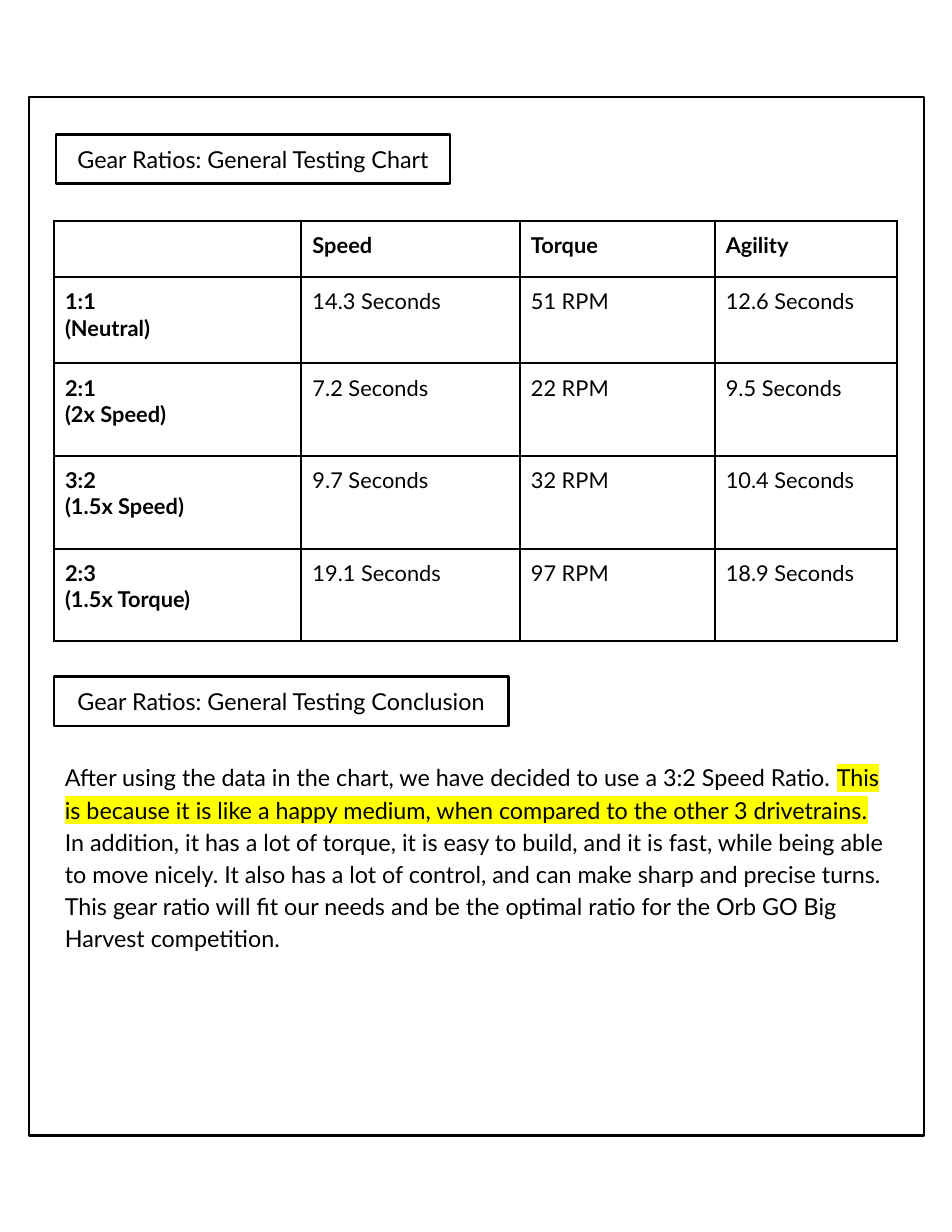
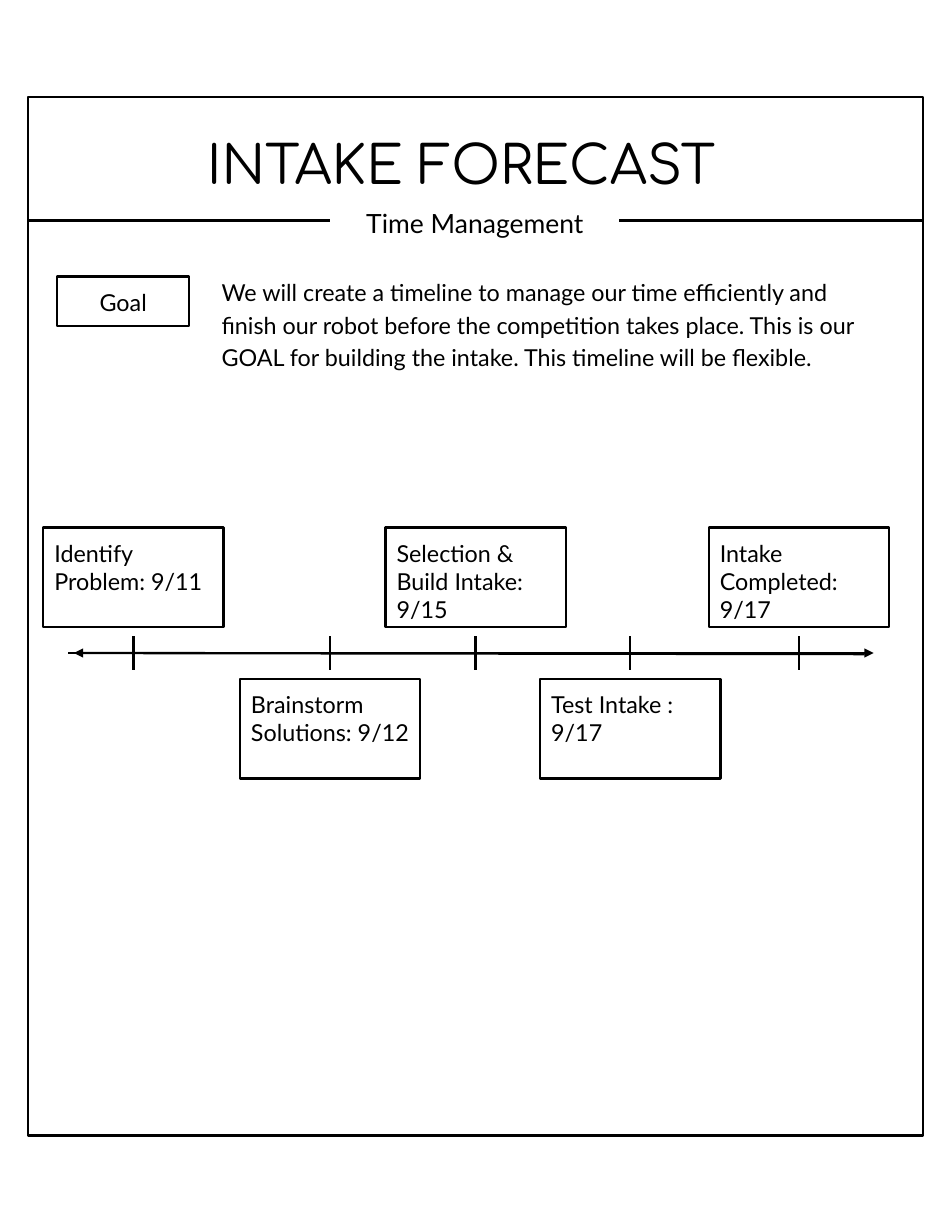
"""Builds two pages of a robotics notebook: gear test results and an intake timeline."""
from lxml import etree
from pptx import Presentation
from pptx import util as u
from pptx.dml import color as c
from pptx.enum import shapes, text
from pptx.oxml import ns

Pt = u.Pt
HUES = {"ink": "000000", "mark": "FFFF00"}
BODY = "Lato"
HEAD = "Comfortaa"
LEFT, MID = text.PP_ALIGN.LEFT, text.PP_ALIGN.CENTER
TOP, CORE = text.MSO_ANCHOR.TOP, text.MSO_ANCHOR.MIDDLE
PAD = Pt(7.2)
LINE = 1.5
RECT = shapes.MSO_SHAPE.RECTANGLE


def rgb(name):
    return c.RGBColor.from_string(HUES[name])


def node(tag, **attrs):
    return etree.Element(ns.qn("a:" + tag), attrs)


def apply(item, **values):
    for key, value in values.items():
        setattr(item, key, value)


class Page:
    def __init__(self, deck):
        self.deck = deck
        self.slide = None

    def start(self, left):
        layout = self.deck.slide_layouts.get_by_name("Title Only")
        self.slide = self.deck.slides.add_slide(layout)
        self.box((left, 62.6, 575.3, 667.4))

    def edge(self, line):
        line.color.rgb = rgb("ink")
        line.width = Pt(LINE)

    def lay(self, frame, paras, size=15, font=BODY, align=LEFT, space=1.0,
            anchor=TOP):
        apply(frame, word_wrap=True, vertical_anchor=anchor,
              auto_size=text.MSO_AUTO_SIZE.NONE, margin_left=PAD,
              margin_right=PAD, margin_top=PAD, margin_bottom=PAD)
        self.words(frame, paras, size, font, False, align, space)

    def words(self, frame, paras, size, font=BODY, bold=False, align=LEFT, space=1.0):
        for i, runs in enumerate(paras):
            para = frame.add_paragraph() if i else frame.paragraphs[0]
            apply(para, alignment=align, line_spacing=space)
            for words, mark in runs:
                run = para.add_run()
                run.text = words
                apply(run.font, size=Pt(size), name=font, bold=bold)
                run.font.color.rgb = rgb("ink")
                if mark:
                    self.mark(run)

    def mark(self, run):
        tint = node("highlight")
        etree.SubElement(tint, ns.qn("a:srgbClr"), val=HUES["mark"])
        run.font._element.find(ns.qn("a:solidFill")).addnext(tint)

    def box(self, place, words=None, **style):
        shape = self.slide.shapes.add_shape(RECT, *map(Pt, place))
        shape.shadow.inherit = False
        shape.fill.background()
        self.edge(shape.line)
        if words:
            self.lay(shape.text_frame, [[(words, False)]], **style)

    def title(self, place, words, framed=False, **style):
        shape = self.slide.shapes.title
        left, top, width, height = map(Pt, place)
        apply(shape, left=left, top=top, width=width, height=height)
        if framed:
            self.edge(shape.line)
        self.lay(shape.text_frame, [[(words, False)]], align=MID, **style)

    def note(self, place, runs, **style):
        shape = self.slide.shapes.add_textbox(*map(Pt, place))
        self.lay(shape.text_frame, [runs], space=1.15, **style)
        return shape

    def rule(self, ends, arrow=False):
        line = self.slide.shapes.add_connector(
            shapes.MSO_CONNECTOR.STRAIGHT, *map(Pt, ends))
        self.edge(line.line)
        props = line._element.spPr
        if arrow:
            props.find(ns.qn("a:ln")).append(node("tailEnd", type="triangle"))
        props.append(node("effectLst"))
        return line

    def grid(self, left, top, widths, heights, rows):
        spot = map(Pt, (left, top, sum(widths), sum(heights)))
        table = self.slide.shapes.add_table(len(rows), len(widths), *spot).table
        apply(table, first_row=False, horz_banding=False)
        for col, width in zip(table.columns, widths):
            col.width = Pt(width)
        for row, height, cells in zip(table.rows, heights, rows):
            row.height = Pt(height)
            for cell, words in zip(row.cells, cells):
                bold = words == cells[0] or cells is rows[0]
                apply(cell, vertical_anchor=TOP, margin_left=PAD,
                      margin_right=PAD, margin_top=PAD, margin_bottom=PAD)
                cell.fill.background()
                self.rim(cell)
                paras = [[(part, False)] for part in words.split("\n") if part]
                self.words(cell.text_frame, paras, 14, bold=bold)

    def rim(self, cell):
        props = cell._tc.get_or_add_tcPr()
        for i, side in enumerate("LRTB"):
            line = node("ln" + side, w=str(int(Pt(LINE))))
            ink = etree.SubElement(line, ns.qn("a:solidFill"))
            etree.SubElement(ink, ns.qn("a:srgbClr"), val=HUES["ink"])
            props.insert(i, line)


def gears(page):
    page.start(18.7)
    page.title((36, 86.4, 253.4, 31.7), "Gear Ratios: General Testing Chart",
               framed=True)
    page.grid(34.6, 141.8, (159.1, 140.4, 125.3, 117.4), (36, 55.4) + (59.6,) * 3, [
        ("", "Speed", "Torque", "Agility"),
        ("1:1\n(Neutral)", "14.3 Seconds", "51 RPM", "12.6 Seconds"),
        ("2:1\n(2x Speed)", "7.2 Seconds", "22 RPM", "9.5 Seconds"),
        ("3:2\n(1.5x Speed)", "9.7 Seconds", "32 RPM", "10.4 Seconds"),
        ("2:3\n(1.5x Torque)", "19.1 Seconds", "97 RPM", "18.9 Seconds"),
    ])
    page.note((34.6, 481, 542.9, 134.6), [
        ("After using the data in the chart, we have decided to use a 3:2 "
         "Speed Ratio. ", False),
        ("This is because it is like a happy medium, when compared to the "
         "other 3 drivetrains.", True),
        (" In addition, it has a lot of torque, it is easy to build, and it is "
         "fast, while being able to move nicely. It also has a lot of control, "
         "and can make sharp and precise turns. This gear ratio will fit our "
         "needs and be the optimal ratio for the Orb GO Big Harvest "
         "competition.", False),
    ])
    page.box((34.6, 434.9, 292.3, 31.7), "Gear Ratios: General Testing Conclusion",
             align=MID)


def intake(page):
    page.start(18)
    page.title((25, 61.9, 542.9, 80.6), "INTAKE FORECAST", size=34, font=HEAD,
               space=1.15, anchor=CORE)
    theme = page.note((212.4, 128.9, 185.8, 25.9), [("Time Management", False)],
                      size=17, align=MID, anchor=CORE)
    page.rule((18, 141.85, 212.4, 141.85)).end_connect(theme, 1)
    page.rule((398.2, 141.85, 594, 141.85)).begin_connect(theme, 3)
    page.box((36.7, 177.8, 85, 31.7), "Goal", align=MID)
    page.note((135.4, 169.2, 432.7, 49), [
        ("We will create a timeline to manage our time efficiently and finish "
         "our robot before the competition takes place. This is our GOAL for "
         "building the intake. This timeline will be flexible.", False)])

    page.rule((43.9, 419.8, 561.6, 419.8), arrow=True)
    page.rule((555.8, 420.5, 47.5, 419.8), arrow=True)
    wide, high = 115.9, 64.1
    steps = [(85.8, "Identify Problem: 9/11"),
             (212.2, "Brainstorm Solutions: 9/12"),
             (305.8, "Selection & Build Intake: 9/15"),
             (405.2, "Test Intake : 9/17"),
             (513.6, "Intake Completed: 9/17")]
    for i, (x, words) in enumerate(steps):
        page.rule((x, 409, x, 430.6))
        page.box((x - wide / 2, 436.3 if i % 2 else 339.1, wide, high), words)


def main():
    deck = Presentation()
    apply(deck, slide_width=Pt(612), slide_height=Pt(792))
    page = Page(deck)
    gears(page)
    intake(page)
    deck.save("out.pptx")


if __name__ == "__main__":
    main()
